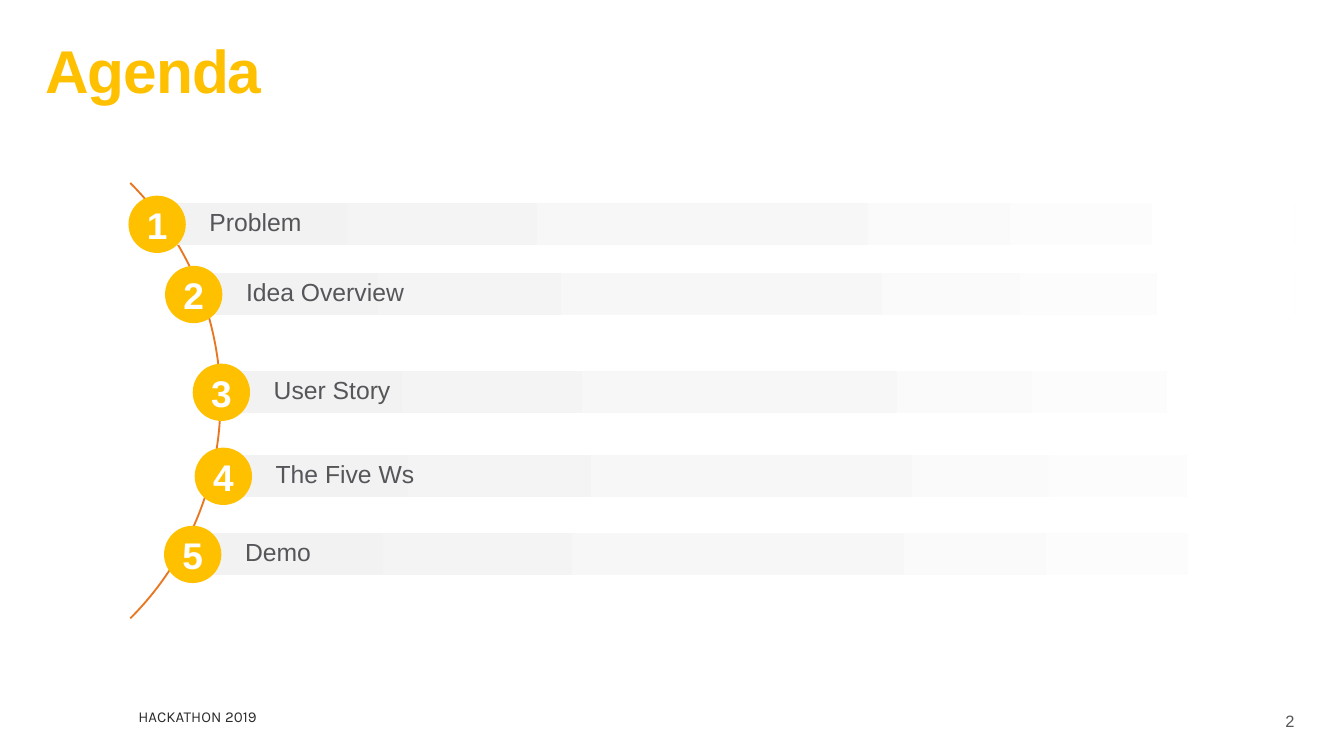
from copy import deepcopy

from pptx import Presentation
from pptx import util as u
from pptx.dml.color import RGBColor
from pptx.enum import shapes, text
from pptx.oxml.ns import qn

PX = 9144
AMBER, ORANGE, GREY, INK, WHITE = "FFC000", "E87722", "55565A", "2A2B2D", "FFFFFF"
BAR_FADE = [(0, "F2F2F2"), (0.5, "F7F7F7"), (1, "FFFFFF")]
BADGE, BAR_HEIGHT, BAR_INDENT = 58, 43, 30
AGENDA = [
    ("Problem", 0, 0, 1150),
    ("Idea Overview", 37, 71, 1113),
    ("User Story", 65, 170, 1092),
    ("The Five Ws", 67, 255, 1113),
    ("Demo", 36, 334, 1150),
]


def px(*lengths):
    """Turn px lengths into EMU."""
    return [u.Emu(length * PX) for length in lengths]


def colour(code):
    """Turn a hex string into a colour."""
    return RGBColor.from_string(code)


def write(holder, words, size, code, insets=(0, 0, 0, 0), font="Arial", bold=False,
          align=text.PP_ALIGN.LEFT, anchor=text.MSO_ANCHOR.MIDDLE, spacing=1.0):
    """Fill a shape with one formatted paragraph and return the paragraph."""
    frame = holder.text_frame
    frame.word_wrap = True
    frame.auto_size = text.MSO_AUTO_SIZE.NONE
    frame.vertical_anchor = anchor
    (frame.margin_left, frame.margin_top,
     frame.margin_right, frame.margin_bottom) = px(*insets)
    line = frame.paragraphs[0]
    line.text = words
    line.alignment = align
    line.line_spacing = spacing
    line.font.name, line.font.size, line.font.bold = font, u.Pt(size), bold
    line.font.color.rgb = colour(code)
    return line


def add_plain(slide, preset, box, code):
    """Add a preset shape with a solid fill, no outline and no shadow."""
    plain = slide.shapes.add_shape(preset, *px(*box))
    plain.shadow.inherit = False
    plain.line.fill.background()
    plain.fill.solid()
    plain.fill.fore_color.rgb = colour(code)
    return plain


def fade(bar):
    """Give a bar its left-to-right three-stop gradient."""
    bar.fill.gradient()
    bar.fill.gradient_angle = 0
    stop_list = bar._element.spPr.find(qn("a:gradFill")).find(qn("a:gsLst"))
    stop_list.append(deepcopy(stop_list[0]))
    for stop, (position, code) in zip(bar.fill.gradient_stops, BAR_FADE):
        stop.position = position
        stop.color.rgb = colour(code)


def add_title(slide, box, words):
    """Place and format the slide title."""
    title = slide.shapes.title
    title.left, title.top, title.width, title.height = px(*box)
    line = write(title, words, 44, AMBER, (16, 10, 16, 10), bold=True,
                 anchor=text.MSO_ANCHOR.TOP, spacing=0.9)
    line.runs[0]._r.get_or_add_rPr().set("spc", "-80")


def add_arc(slide, box):
    """Draw the thin arc that links the numbers."""
    arc = add_plain(slide, shapes.MSO_SHAPE.BLOCK_ARC, box, ORANGE)
    for index, value in enumerate((189, 27, 0.003)):
        arc.adjustments[index] = value


def add_agenda(slide, left, top):
    """Lay out the numbered agenda bars from the given corner."""
    for number, (topic, dx, dy, width) in enumerate(AGENDA, 1):
        x, y = left + dx, top + dy
        bar_top = y + (BADGE - BAR_HEIGHT) // 2
        bar = add_plain(slide, shapes.MSO_SHAPE.RECTANGLE,
                        (x + BAR_INDENT, bar_top, width, BAR_HEIGHT), WHITE)
        fade(bar)
        write(bar, topic, 18, GREY, (52, 0, 0, 0), spacing=0.9)
        badge = add_plain(slide, shapes.MSO_SHAPE.OVAL, (x, y, BADGE, BADGE), AMBER)
        write(badge, str(number), 27, WHITE, bold=True, align=text.PP_ALIGN.CENTER)


def add_footer(slide, event_box, page_box):
    """Add the event name and the page number."""
    event = slide.shapes.add_textbox(*px(*event_box))
    write(event, "HACKATHON 2019", 11, INK, (20, 16, 20, 16), font="Karla",
          anchor=text.MSO_ANCHOR.TOP, spacing=0.9)
    page = slide.shapes.add_textbox(*px(*page_box))
    write(page, "2", 12, GREY, (20, 5, 20, 5), align=text.PP_ALIGN.RIGHT)


def main():
    """Build the agenda slide and save it."""
    deck = Presentation()
    deck.slide_width, deck.slide_height = px(1360, 765)
    slide = deck.slides.add_slide(deck.slide_layouts[5])
    add_title(slide, (30, 32, 1300, 100), "Agenda")
    add_arc(slide, (-401, 93, 625, 625))
    add_agenda(slide, 130, 198)
    add_footer(slide, (120, 702, 170, 49), (1130, 709, 200, 41))
    deck.save("out.pptx")


if __name__ == "__main__":
    main()
